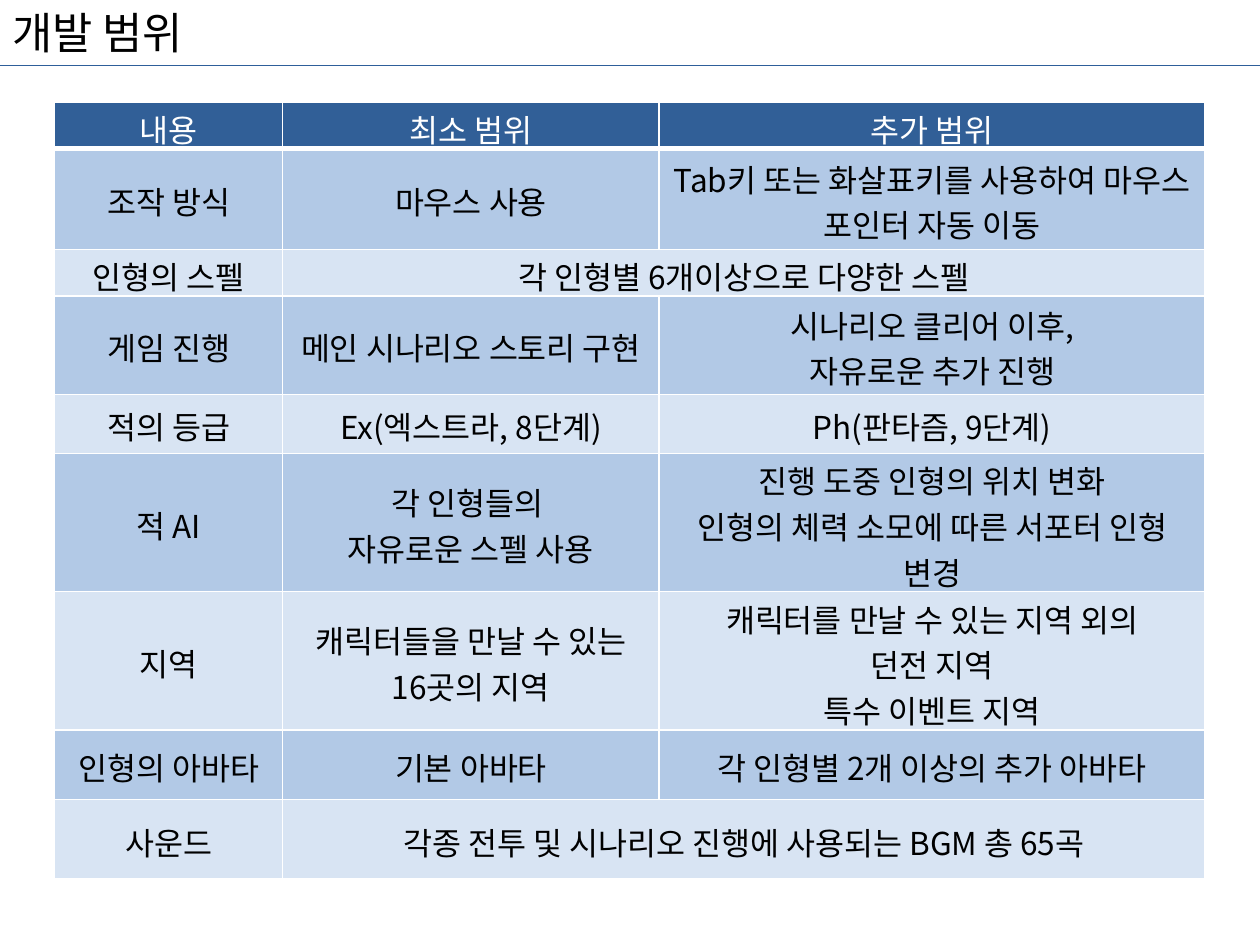
"""Build the development scope slide with its table of minimum and extra goals."""
from dataclasses import dataclass

from lxml import etree
from pptx import Presentation
from pptx import util as u
from pptx.dml.color import RGBColor
from pptx.enum import shapes, text
from pptx.oxml.ns import qn


@dataclass(frozen=True)
class Theme:
    font: str = "Noto Sans CJK KR"
    ink: str = "000000"
    white: str = "FFFFFF"
    rule: str = "2E5F9A"
    head: str = "315F97"
    dark: str = "B2C9E6"
    light: str = "D8E4F3"
    title: int = 25
    body: int = 18


theme = Theme()


def style(frame, size, color, align):
    for para in frame.paragraphs:
        para.alignment = align
        font = para.font
        font.size = u.Pt(size)
        font.name = theme.font
        font.color.rgb = RGBColor.from_string(color)
        base = para._p.pPr.find(qn("a:defRPr"))
        etree.SubElement(base, qn("a:ea"), typeface=theme.font)


def border(cell, side, width):
    props = cell._tc.get_or_add_tcPr()
    line = etree.SubElement(props, qn(f"a:ln{side}"), w=str(u.Pt(width)))
    fill = etree.SubElement(line, qn("a:solidFill"))
    etree.SubElement(fill, qn("a:srgbClr"), val=theme.white)


deck = Presentation()
deck.slide_width, deck.slide_height = u.Cm(25.4), u.Cm(19.05)
slide = deck.slides.add_slide(deck.slide_layouts[6])

title = slide.shapes.add_textbox(0, 0, u.Cm(4.6), u.Cm(1.32)).text_frame
title.text = "개발 범위"
title.word_wrap = True
style(title, theme.title, theme.ink, text.PP_ALIGN.LEFT)

rule = slide.shapes.add_connector(
    shapes.MSO_CONNECTOR.STRAIGHT, 0, u.Cm(1.32), deck.slide_width, u.Cm(1.32))
rule.line.color.rgb = RGBColor.from_string(theme.rule)
rule.line.width = u.Pt(1)
etree.SubElement(rule._element.spPr, qn("a:effectLst"))

rows = [
    (0.94, "내용", "최소 범위", "추가 범위"),
    (2.03, "조작 방식", "마우스 사용", "Tab키 또는 화살표키를 사용하여 마우스 포인터 자동 이동"),
    (0.94, "인형의 스펠", "각 인형별 6개이상으로 다양한 스펠"),
    (1.98, "게임 진행", "메인 시나리오 스토리 구현", "시나리오 클리어 이후,\n자유로운 추가 진행"),
    (1.19, "적의 등급", "Ex(엑스트라, 8단계)", "Ph(판타즘, 9단계)"),
    (2.79, "적 AI", "각 인형들의 \n자유로운 스펠 사용",
     "진행 도중 인형의 위치 변화\n인형의 체력 소모에 따른 서포터 인형 변경"),
    (2.79, "지역", "캐릭터들을 만날 수 있는\n16곳의 지역",
     "캐릭터를 만날 수 있는 지역 외의\n던전 지역\n특수 이벤트 지역"),
    (1.4, "인형의 아바타", "기본 아바타", "각 인형별 2개 이상의 추가 아바타"),
    (1.6, "사운드", "각종 전투 및 시나리오 진행에 사용되는 BGM 총 65곡"),
]
widths = [4.6, 7.59, 11]

table = slide.shapes.add_table(
    len(rows), len(widths), u.Cm(1.1), u.Cm(2.06),
    u.Cm(sum(widths)), u.Cm(sum(row[0] for row in rows))).table
table.first_row = table.horz_banding = False
for col, width in zip(table.columns, widths):
    col.width = u.Cm(width)

for r, (height, *words) in enumerate(rows):
    table.rows[r].height = u.Cm(height)
    tint = theme.head if r == 0 else theme.dark if r % 2 else theme.light
    for c in range(len(widths)):
        cell = table.cell(r, c)
        for side in "LRTB":
            thick = (r, side) in [(0, "B"), (1, "T")]
            border(cell, side, 3 if thick else 1)
        cell.fill.solid()
        cell.fill.fore_color.rgb = RGBColor.from_string(tint)
        cell.margin_top, cell.margin_bottom = u.Cm(0.08), 0
        if r:
            cell.vertical_anchor = text.MSO_ANCHOR.MIDDLE
        if c < len(words):
            cell.text = words[c]
            style(cell.text_frame, theme.body,
                  theme.ink if r else theme.white, text.PP_ALIGN.CENTER)
    if len(words) < len(widths):
        table.cell(r, 1).merge(table.cell(r, 2))

deck.save("out.pptx")
